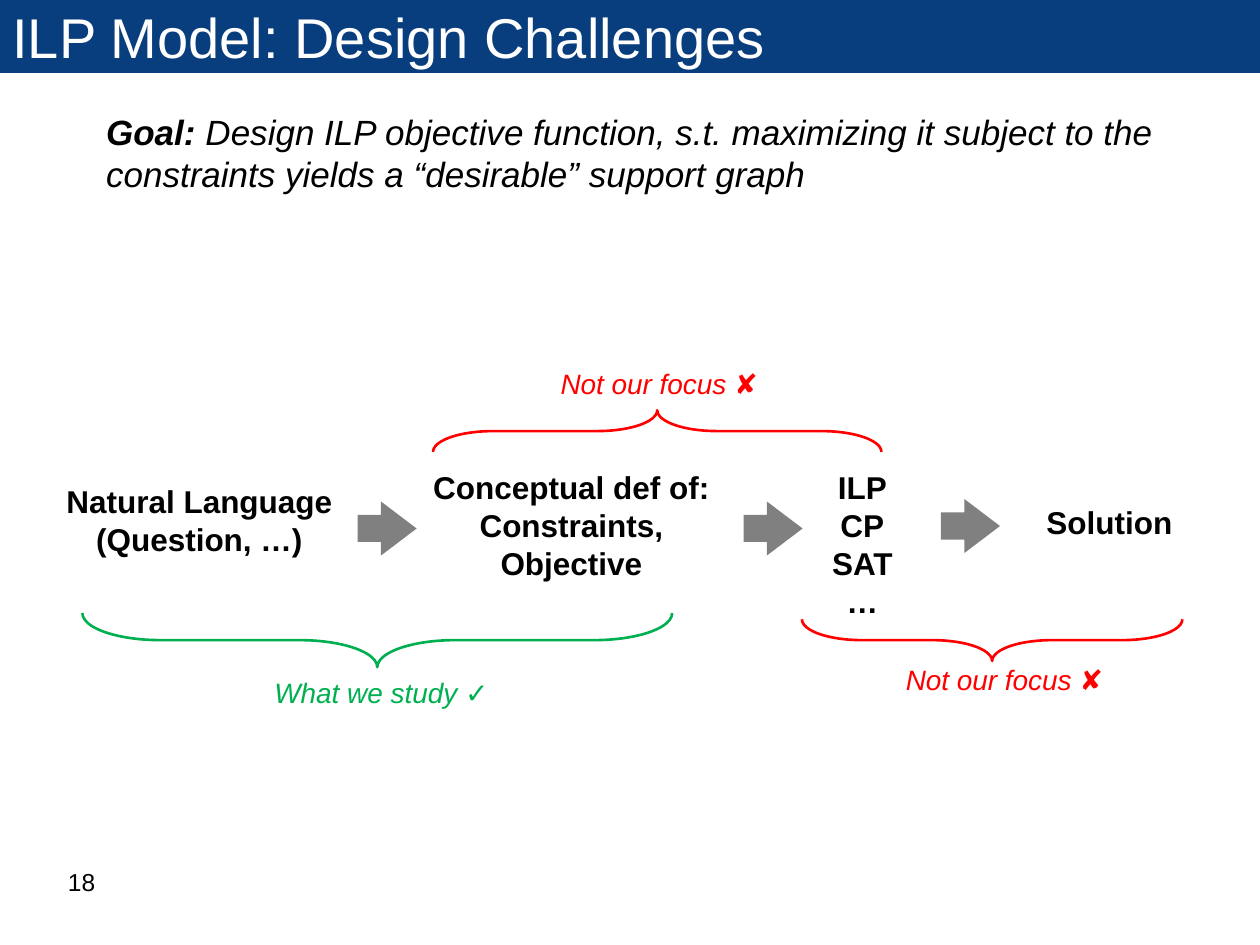
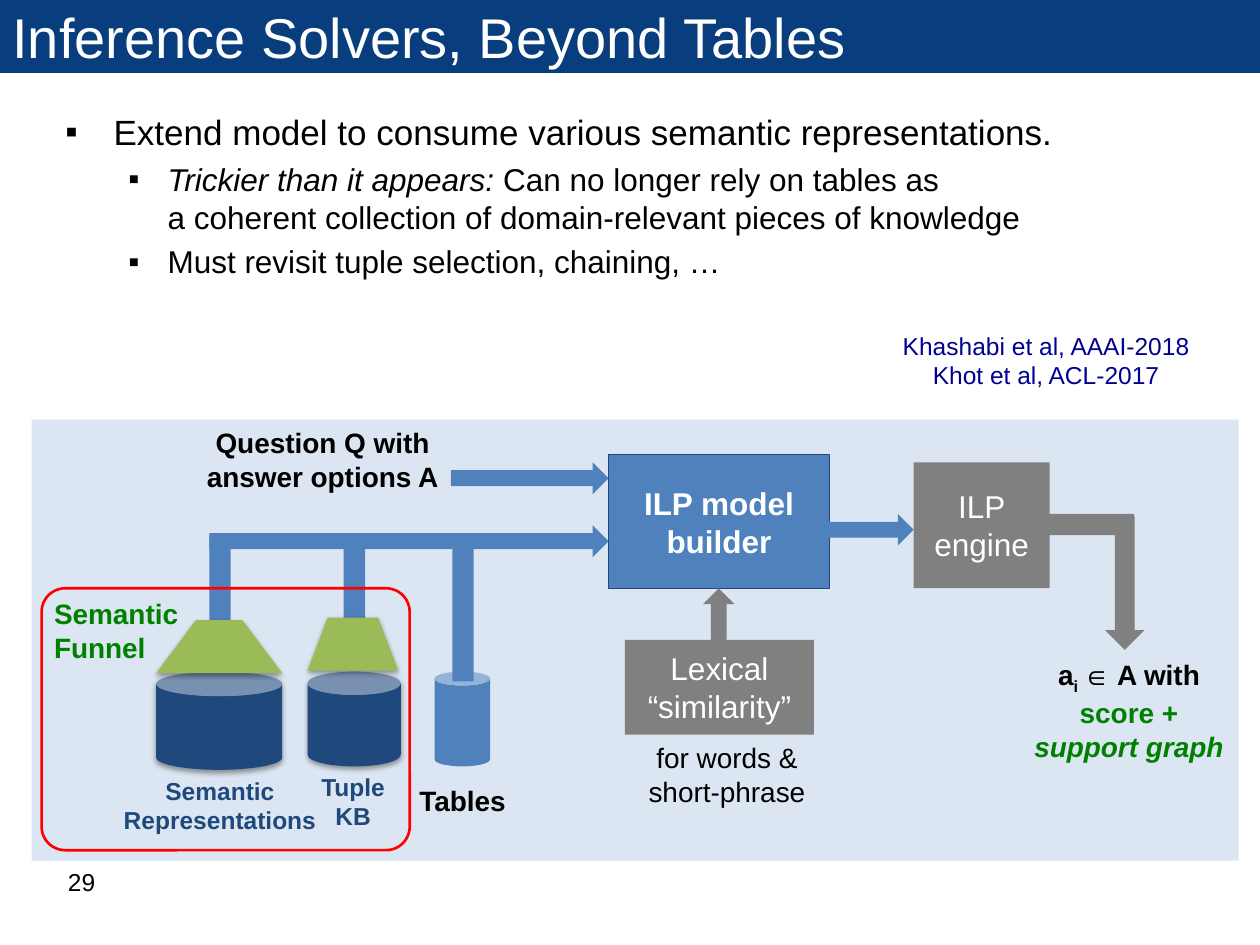
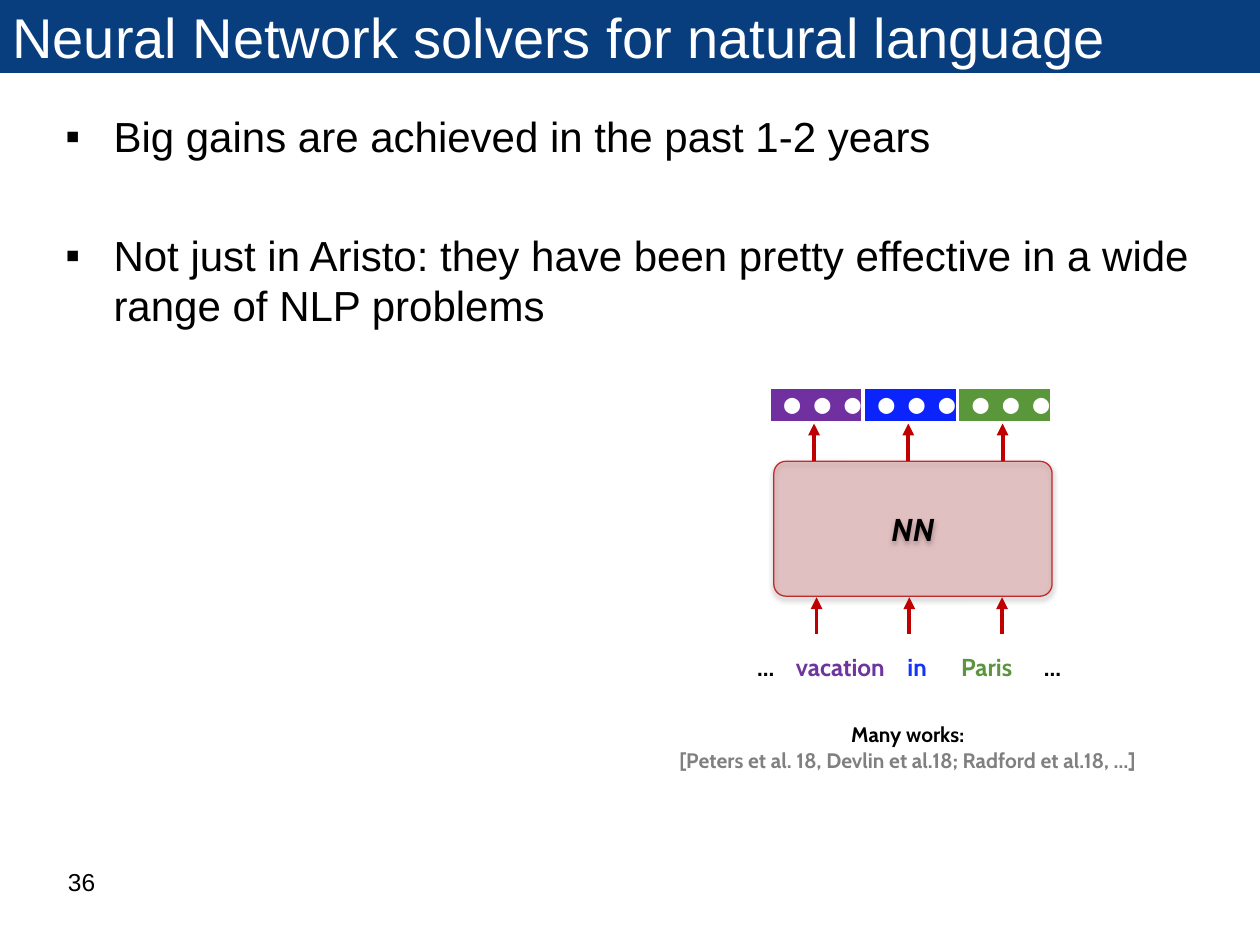
from lxml.etree import SubElement
from pptx import Presentation
from pptx.dml.color import RGBColor
from pptx.enum.shapes import MSO_CONNECTOR, MSO_SHAPE as Kind
from pptx.enum.text import MSO_ANCHOR as Anchor, PP_ALIGN as Align
from pptx.oxml.ns import qn
from pptx.util import Cm, Pt

color = RGBColor.from_string
BLACK, WHITE, RED, GREEN = "000000", "FFFFFF", "FF0000", "008000"
NAVY, BLUE, DEEP_BLUE, PALE_BLUE = "083D7E", "4F81BD", "1F497D", "DCE6F2"
GRAY, LIME, STUDY_GREEN, DARK_RED = "808080", "9BBB59", "00B050", "C00000"
NETWORK_RED = "C02B2D"
NO_STYLE = "{2D5ABB26-0587-4C30-8999-92F81FD0307C}"


def draw(page, kind, area, fill=None, line=None, weight=1.5, shadow=False):
    shape = page.shapes.add_shape(kind, *map(Cm, area))
    shape.shadow.inherit = False
    if fill:
        shape.fill.solid()
        shape.fill.fore_color.rgb = color(fill)
    else:
        shape.fill.background()
    if line:
        shape.line.color.rgb = color(line)
        shape.line.width = Pt(weight)
    else:
        shape.line.fill.background()
    if shadow:
        effects = shape._element.spPr.find(qn("a:effectLst"))
        outer = SubElement(effects, qn("a:outerShdw"), blurRad="40000", dist="20000",
                           dir="5400000", rotWithShape="0")
        tint = SubElement(outer, qn("a:srgbClr"), val=BLACK)
        SubElement(tint, qn("a:alpha"), val="38000")
    return shape


def write(shape, texts, size, tint=BLACK, face="Arial", bold=False, italic=False,
          align=Align.CENTER, wrap=False, anchor=Anchor.TOP):
    frame = shape.text_frame
    frame.word_wrap = wrap
    frame.vertical_anchor = anchor
    for index, text in enumerate(texts):
        para = frame.add_paragraph() if index else frame.paragraphs[0]
        para.text = text
        para.alignment = align
        para.font.size = Pt(size)
        para.font.name = face
        para.font.bold = bold
        para.font.italic = italic
        para.font.color.rgb = color(tint)
    return frame


deck = Presentation()
deck.slide_width, deck.slide_height = Cm(25.4), Cm(19.05)
body_area = [Cm(side) for side in (1.07, 2.11, 23.29, 14.91)]

pages = []
for title, number in [
    ("ILP Model: Design Challenges", "18"),
    ("Inference Solvers, Beyond Tables", "29"),
    ("Neural Network solvers for natural language", "36"),
]:
    page = deck.slides.add_slide(deck.slide_layouts[6])
    band = draw(page, Kind.RECTANGLE, (0, 0, 25.4, 1.47), NAVY)
    write(band, [title], 32, WHITE, align=Align.LEFT, wrap=True, anchor=Anchor.MIDDLE)
    box = page.shapes.add_textbox(Cm(1.12), Cm(17.35), Cm(5.92), Cm(1.32))
    write(box, [number], 14, align=Align.LEFT, wrap=True)
    pages.append(page)
challenges, solvers, networks = pages

box = challenges.shapes.add_textbox(*body_area)
goal = write(box, ["Goal: "], 20, italic=True, align=Align.LEFT, wrap=True).paragraphs[0]
goal._p.get_or_add_pPr().set("marL", str(Cm(0.82)))
goal.runs[0].font.bold = True
span = goal.add_run()
span.text = ("Design ILP objective function, s.t. maximizing it subject to the "
             "constraints yields a “desirable” support graph")

for text, area in [
    ("Natural Language\n(Question, …)", (0.97, 9.6, 6.1, 1.8)),
    ("Conceptual def of:\nConstraints,\nObjective", (8.36, 9.32, 6.32, 2.57)),
    ("ILP\nCP\nSAT\n…", (16.51, 9.32, 1.75, 3.33)),
    ("Solution", (20.83, 10.01, 3.07, 0.94)),
]:
    write(challenges.shapes.add_textbox(*map(Cm, area)), [text], 18, bold=True)

for left, top in [(7.21, 10.11), (14.99, 10.11), (18.97, 10.06)]:
    arrow = draw(challenges, Kind.RIGHT_ARROW, (left, top, 1.19, 1.09), GRAY)
    arrow.adjustments[1] = 0.66

for area, turn, tint, label, mark, label_area in [
    ((19.58, 9.07, 0.84, 7.67), 90, RED, "Not our focus ", "✘", (18.01, 13.23, 4.52, 0.94)),
    ((12.83, 4.17, 0.84, 9.04), 270, RED, "Not our focus ", "✘", (11.05, 7.26, 4.52, 0.94)),
    ((7.06, 6.96, 1.09, 11.89), 90, STUDY_GREEN, "What we study ", "✓",
     (5.28, 13.49, 4.85, 0.94)),
]:
    brace = draw(challenges, Kind.RIGHT_BRACE, area, line=tint)
    brace.adjustments[0] = 1.44
    brace.rotation = turn
    box = challenges.shapes.add_textbox(*map(Cm, label_area))
    para = write(box, [label], 16, tint, italic=True, align=Align.LEFT).paragraphs[0]
    span = para.add_run()
    span.text = mark
    if mark == "✓":
        span.font.italic, span.font.bold = False, True

for page, points in [
    (solvers, [
        ("", "Extend model to consume various semantic representations.", 20, 0.97, 0.97, 0),
        ("Trickier than it appears:", " Can no longer rely on tables as\n"
         "a coherent collection of domain-relevant pieces of knowledge", 18, 2.06, 0.79, 4),
        ("", "Must revisit tuple selection, chaining, …", 18, 2.06, 0.79, 4),
    ]),
    (networks, [
        ("", "Big gains are achieved in the past 1-2 years", 24, 0.97, 0.97, 0),
        ("", "Not just in Aristo: they have been pretty effective in a wide "
         "range of NLP problems", 24, 0.97, 0.97, 39),
    ]),
]:
    frame = page.shapes.add_textbox(*body_area).text_frame
    frame.word_wrap = True
    for index, (lead, text, size, margin, hang, gap) in enumerate(points):
        para = frame.add_paragraph() if index else frame.paragraphs[0]
        para.text = text
        if lead:
            span = para.add_run()
            span.text = lead
            span.font.italic = True
            para.runs[0]._r.addprevious(span._r)
        settings = para._p.get_or_add_pPr()
        settings.set("marL", str(Cm(margin)))
        settings.set("indent", str(-Cm(hang)))
        SubElement(settings, qn("a:buFont"), typeface="Arial")
        SubElement(settings, qn("a:buChar"), char="▪")
        para.space_before = Pt(gap)
        para.font.size = Pt(size)
        para.font.name = "Arial"
        para.font.color.rgb = color(BLACK)

draw(solvers, Kind.RECTANGLE, (0.64, 8.46, 24.33, 8.89), PALE_BLUE)
builder = draw(solvers, Kind.RECTANGLE, (12.27, 9.17, 4.45, 2.69), BLUE, DEEP_BLUE, 0.75)
engine = draw(solvers, Kind.RECTANGLE, (18.42, 9.32, 2.74, 2.54), GRAY)
lexical = draw(solvers, Kind.RECTANGLE, (12.6, 12.9, 3.81, 1.91), GRAY)
for shape, text, bold in [
    (builder, "ILP model builder", True),
    (engine, "ILP\nengine", False),
    (lexical, "Lexical “similarity”", False),
]:
    write(shape, [text], 18, WHITE, bold=bold, wrap=True, anchor=Anchor.MIDDLE)

for kind, area, fill in [
    (Kind.CAN, (8.76, 13.54, 1.12, 1.91), BLUE),
    (Kind.RIGHT_ARROW, (9.09, 9.32, 3.18, 0.64), BLUE),
    (Kind.RIGHT_ARROW, (16.51, 10.36, 1.91, 0.64), BLUE),
    (Kind.DOWN_ARROW, (22.28, 10.41, 0.79, 2.69), GRAY),
    (Kind.UP_ARROW, (14.17, 11.86, 0.64, 1.07), GRAY),
    (Kind.RECTANGLE, (20.75, 10.36, 2.11, 0.43), GRAY),
    (Kind.RECTANGLE, (9.12, 11, 0.43, 2.74), BLUE),
    (Kind.RECTANGLE, (6.93, 10.8, 0.43, 1.7), BLUE),
    (Kind.RECTANGLE, (4.22, 10.8, 0.43, 1.7), BLUE),
]:
    draw(solvers, kind, area, fill)

for can_area, funnel_area, slope in [
    ((6.2, 13.54, 1.88, 1.91), (6.2, 12.45, 1.83, 1.07), 0.38),
    ((3.15, 13.54, 2.54, 1.98), (3.15, 12.5, 2.54, 1.07), 0.75),
]:
    draw(solvers, Kind.CAN, can_area, DEEP_BLUE, shadow=True)
    funnel = draw(solvers, Kind.TRAPEZOID, funnel_area, LIME, shadow=True)
    funnel.adjustments[0] = slope

for text, area, size, tint, bold, align in [
    ("Question Q with\nanswer options A", (3.89, 8.46, 5.23, 1.63), 16, BLACK, True, Align.CENTER),
    ("Tables", (8.18, 15.67, 2.29, 0.94), 16, BLACK, True, Align.CENTER),
    ("for words &\nshort-phrase", (12.8, 14.81, 3.71, 1.63), 16, BLACK, False, Align.CENTER),
    ("Tuple\nKB", (6.22, 15.44, 1.8, 1.45), 14, DEEP_BLUE, True, Align.CENTER),
    ("Semantic\nRepresentations", (2.24, 15.52, 4.39, 1.45), 14, DEEP_BLUE, True, Align.CENTER),
    ("Semantic\nFunnel", (0.84, 11.91, 3.05, 1.63), 16, GREEN, True, Align.LEFT),
]:
    box = solvers.shapes.add_textbox(*map(Cm, area))
    write(box, [text], size, tint, bold=bold, align=align)

box = solvers.shapes.add_textbox(Cm(20.55), Cm(13.13), Cm(4.42), Cm(2.31))
answer, support = write(box, ["a", "support graph"], 16, bold=True).paragraphs
support.font.italic = True
support.font.color.rgb = color(GREEN)
span = answer.add_run()
span.text = "i "
span._r.get_or_add_rPr().set("baseline", "-25000")
answer.add_run().text = "∈ A with"
answer.add_line_break()
span = answer.add_run()
span.text = "score +"
span.font.color.rgb = color(GREEN)

outline = draw(solvers, Kind.ROUNDED_RECTANGLE, (0.84, 11.86, 7.42, 5.28), line=RED)
outline.adjustments[0] = 0.09
draw(solvers, Kind.RIGHT_ARROW, (4.22, 10.59, 8.05, 0.64), BLUE)
box = solvers.shapes.add_textbox(Cm(17.7), Cm(6.55), Cm(6.78), Cm(1.45))
write(box, ["Khashabi et al, AAAI-2018", "Khot et al, ACL-2017"], 14, "000090", wrap=True)

network = draw(networks, Kind.ROUNDED_RECTANGLE, (15.6, 9.3, 5.61, 2.72),
               NETWORK_RED, NETWORK_RED, 0.75, shadow=True)
network.adjustments[0] = 0.09
tint = network._element.spPr.find(qn("a:solidFill")).find(qn("a:srgbClr"))
SubElement(tint, qn("a:alpha"), val="22000")
frame = write(network, ["NN"], 18, face="Cabin", bold=True, italic=True, wrap=True,
              anchor=Anchor.MIDDLE)
frame.margin_left = frame.margin_right = 0

for index, fill in enumerate(["7030A0", "0B24FB", "5A963A"]):
    holder = networks.shapes.add_table(1, 3, Cm(15.54 + 1.9 * index), Cm(7.84),
                                       Cm(1.8), Cm(0.5))
    vector = holder.table
    vector.first_row = vector.horz_banding = False
    vector._tbl.tblPr.find(qn("a:tableStyleId")).text = NO_STYLE
    for column in vector.columns:
        column.width = Cm(0.6)
    for cell in vector.iter_cells():
        cell.fill.solid()
        cell.fill.fore_color.rgb = color(fill)
        cell.vertical_anchor = Anchor.MIDDLE
        para = cell.text_frame.paragraphs[0]
        para.text = "⬤"
        para.alignment = Align.CENTER
        para.font.size = Pt(9)
        para.font.name = "Arial"
        para.font.bold = True
        para.font.color.rgb = color(WHITE)

for first, step, start, end in [(16.46, 1.87, 12.78, 12.04), (16.41, 1.9, 9.3, 8.54)]:
    for index in range(3):
        across = Cm(first + step * index)
        arrow = networks.shapes.add_connector(MSO_CONNECTOR.STRAIGHT, across, Cm(start),
                                              across, Cm(end))
        arrow.line.color.rgb = color(DARK_RED)
        arrow.line.width = Pt(2.25)
        SubElement(arrow.line._get_or_add_ln(), qn("a:tailEnd"), type="triangle")
        SubElement(arrow._element.spPr, qn("a:effectLst"))

frame = networks.shapes.add_textbox(Cm(13.94), Cm(13.08), Cm(8.92), Cm(0.71)).text_frame
frame.word_wrap = True
frame.vertical_anchor = Anchor.MIDDLE
frame.margin_top = frame.margin_bottom = 0
words = frame.paragraphs[0]
stops = SubElement(words._p.get_or_add_pPr(), qn("a:tabLst"))
for text, tint, stop in [
    ("…", BLACK, 1.25),
    ("vacation", "6F359E", 2.75),
    ("in", "1434F7", 4.3),
    ("Paris", "5C953F", 5.7),
    ("…", BLACK, 7.03),
]:
    SubElement(stops, qn("a:tab"), pos=str(Cm(stop)), algn="ctr")
    span = words.add_run()
    span.text = "\t" + text
    span.font.color.rgb = color(tint)
words.font.size = Pt(14)
words.font.name = "Cabin"
words.font.bold = True

box = networks.shapes.add_textbox(Cm(13.41), Cm(14.43), Cm(9.78), Cm(1.27))
works = write(box, ["Many works:", "[Peters et al. 18, Devlin et al.18; Radford et al.18, …]"],
              12, face="Cabin", bold=True)
works.paragraphs[1].font.color.rgb = color(GRAY)

deck.save("out.pptx")
